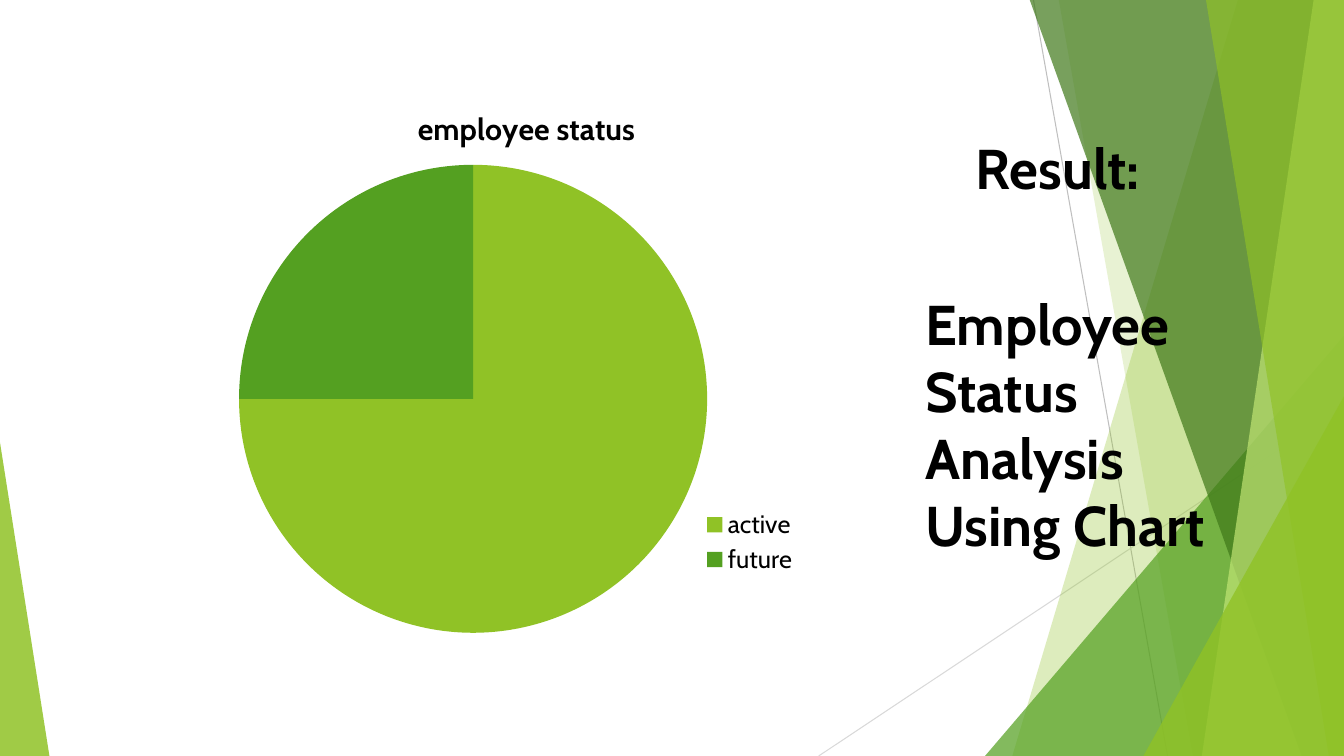
from lxml.etree import SubElement
from pptx import Presentation
from pptx.chart.data import CategoryChartData
from pptx.dml.color import RGBColor
from pptx.enum.chart import XL_CHART_TYPE as ChartType, XL_LEGEND_POSITION as LegendPosition
from pptx.enum.shapes import MSO_CONNECTOR as Connector, MSO_SHAPE as Shape
from pptx.oxml import parse_xml
from pptx.oxml.ns import nsdecls, qn
from pptx.util import Inches, Pt

LIME = RGBColor(0x90, 0xC2, 0x26)
GREEN = RGBColor(0x54, 0xA0, 0x21)
FOREST = RGBColor(0x3F, 0x78, 0x19)
PALE_LIME = RGBColor(0xC0, 0xE4, 0x74)
GRAY = RGBColor(0xBF, 0xBF, 0xBF)
LIGHT_GRAY = RGBColor(0xD9, 0xD9, 0xD9)
BLACK = RGBColor(0, 0, 0)
WIDTH, HEIGHT, BLEED = 13.33, 7.5, -0.01


class ResultSlide:
    """Holds the slide and its style, and draws each kind of element."""

    font = "Cabin"

    def __init__(self, deck):
        self.shapes = deck.slides.add_slide(deck.slide_layouts[6]).shapes

    def style_font(self, font, size, bold=False):
        font.name, font.size, font.bold = self.font, Pt(size), bold
        font.color.rgb = BLACK

    def paint(self, shape, color, opacity):
        shape.shadow.inherit = False
        shape.line.fill.background()
        shape.fill.solid()
        shape.fill.fore_color.rgb = color
        rgb = shape.fill._xPr.find(".//" + qn("a:srgbClr"))
        SubElement(rgb, qn("a:alpha")).set("val", str(opacity * 1000))

    def line(self, start, end, color):
        ray = self.shapes.add_connector(
            Connector.STRAIGHT, *(Inches(value) for value in start + end))
        ray.line.color.rgb = color
        ray.line.width = Pt(0.75)
        SubElement(ray.line._get_or_add_ln().getparent(), qn("a:effectLst"))

    def band(self, top_left, bottom_left, color, opacity):
        outline = self.shapes.build_freeform(
            Inches(top_left), Inches(BLEED))
        corners = [(WIDTH, BLEED), (WIDTH, HEIGHT), (bottom_left, HEIGHT)]
        outline.add_line_segments([(Inches(x), Inches(y)) for x, y in corners])
        self.paint(outline.convert_to_shape(), color, opacity)

    def triangle(self, left, top, width, apex, color, opacity):
        corner = self.shapes.add_shape(
            Shape.ISOSCELES_TRIANGLE, Inches(left), Inches(top),
            Inches(width), Inches(HEIGHT - top))
        corner.adjustments[0] = apex
        self.paint(corner, color, opacity)

    def text(self, left, top, width, height, wording):
        frame = self.shapes.add_textbox(
            Inches(left), Inches(top), Inches(width), Inches(height)).text_frame
        frame.word_wrap = True
        frame.text = wording
        for paragraph in frame.paragraphs:
            for run in paragraph.runs:
                self.style_font(run.font, 40, True)

    def place(self, part, index, **layout):
        for old in part.findall(qn("c:layout")):
            part.remove(old)
        modes = "".join(f'<c:{axis}Mode val="edge"/>' for axis in "xy")
        sizes = "".join(f'<c:{key} val="{value}"/>' for key, value in layout.items())
        target = '<c:layoutTarget val="inner"/>' if index == 0 else ""
        part.insert(index, parse_xml(
            f'<c:layout {nsdecls("c")}><c:manualLayout>{target}{modes}{sizes}'
            "</c:manualLayout></c:layout>"))

    def pie(self, left, top, width, height, title, shares, colors):
        data = CategoryChartData()
        data.categories = list(shares)
        data.add_series(title, list(shares.values()))
        chart = self.shapes.add_chart(
            ChartType.PIE, Inches(left), Inches(top),
            Inches(width), Inches(height), data).chart
        self.style_font(chart.font, 18)
        chart.has_title = True
        heading = chart.chart_title.text_frame
        heading.text = title
        self.style_font(heading.paragraphs[0].runs[0].font, 21.6, True)
        chart.has_legend = True
        chart.legend.position = LegendPosition.RIGHT
        chart.legend.include_in_layout = False
        self.style_font(chart.legend.font, 18)
        plot = chart.plots[0]
        plot.vary_by_categories = True
        for index, color in enumerate(colors):
            fill = plot.series[0].points[index].format.fill
            fill.solid()
            fill.fore_color.rgb = color
        body = chart._chartSpace.find(qn("c:chart"))
        self.place(body.find(qn("c:title")), 1, x=0.31, y=0.04)
        self.place(body.find(qn("c:plotArea")), 0, x=0.025, y=0.15, w=0.77, h=0.825)
        self.place(body.find(qn("c:legend")), 1, x=0.78, y=0.75, w=0.17, h=0.13)


def main():
    deck = Presentation()
    deck.slide_width, deck.slide_height = Inches(WIDTH), Inches(HEIGHT)
    result = ResultSlide(deck)
    result.line((10.25, 0), (11.58, HEIGHT), GRAY)
    result.line((WIDTH, 4.03), (8.12, HEIGHT), LIGHT_GRAY)
    result.band(12.28, 10.04, LIME, 30)
    result.band(10.5, 11.83, LIME, 20)
    result.triangle(9.77, 3.33, 3.56, 1, GREEN, 72)
    result.band(10.21, 12.91, FOREST, 70)
    result.band(13.03, 11.92, PALE_LIME, 70)
    result.band(11.96, 13.18, LIME, 65)
    result.triangle(11.34, 3.93, 1.99, 1, LIME, 80)
    result.triangle(0, 4.39, 0.49, 0, LIME, 85)
    result.text(9.08, 2.82, 3.48, 2.79, "Employee\nStatus Analysis Using Chart")
    result.text(9.58, 1.28, 2, 0.77, "Result:")
    result.pie(2.22, 0.79, 6.03, 5.63, "employee status",
               {"active": 75, "future": 25}, [LIME, GREEN])
    deck.save("out.pptx")


if __name__ == "__main__":
    main()
